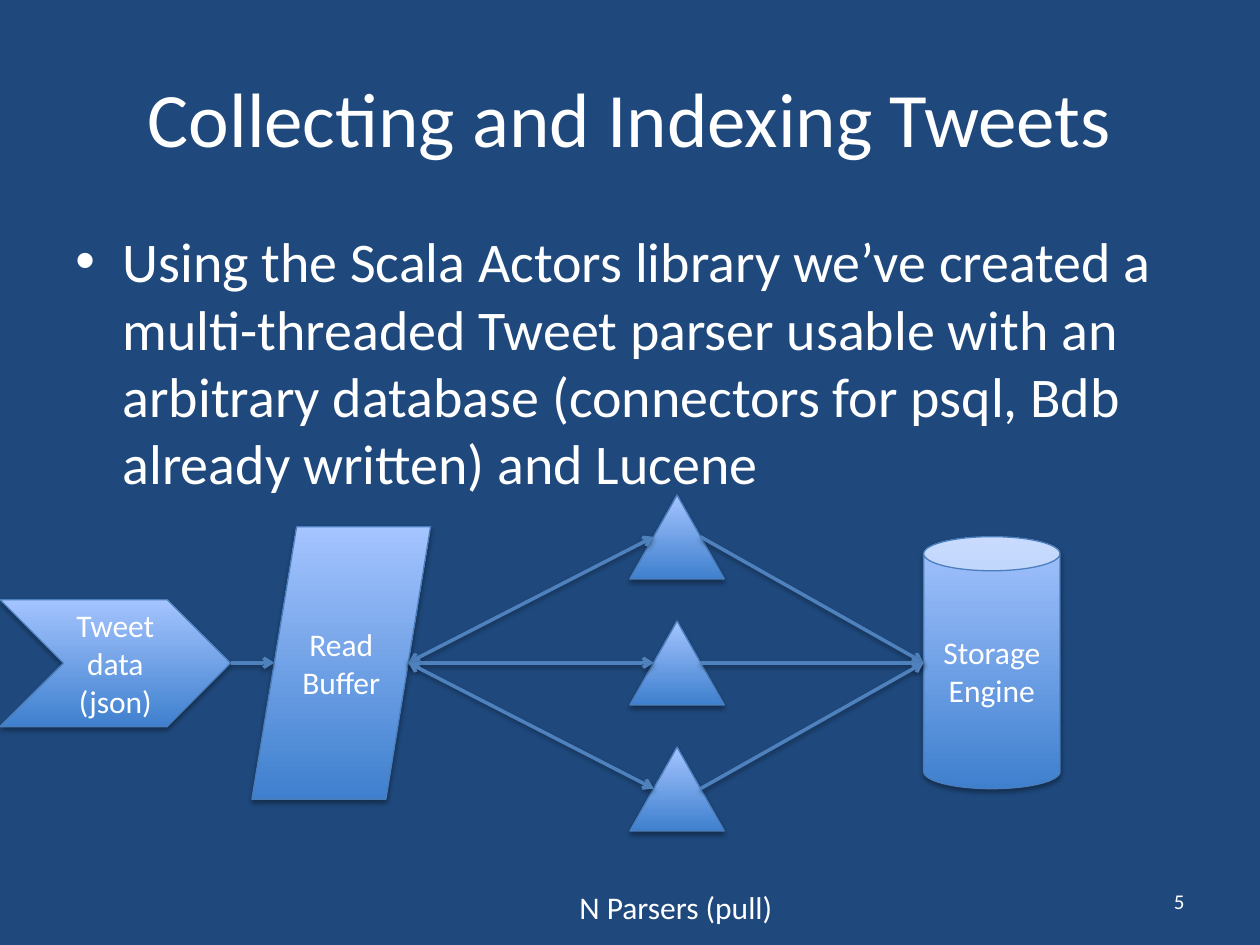
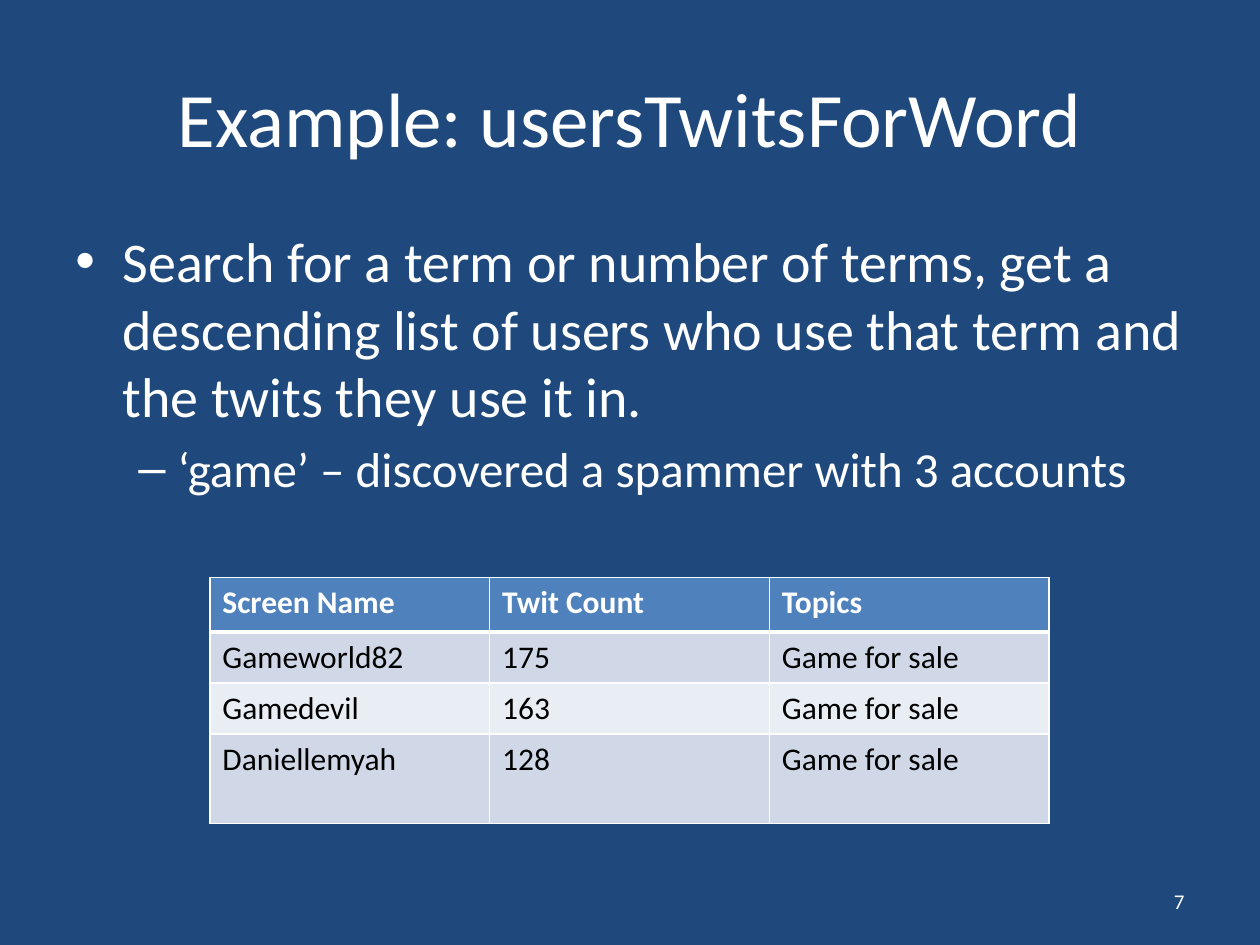
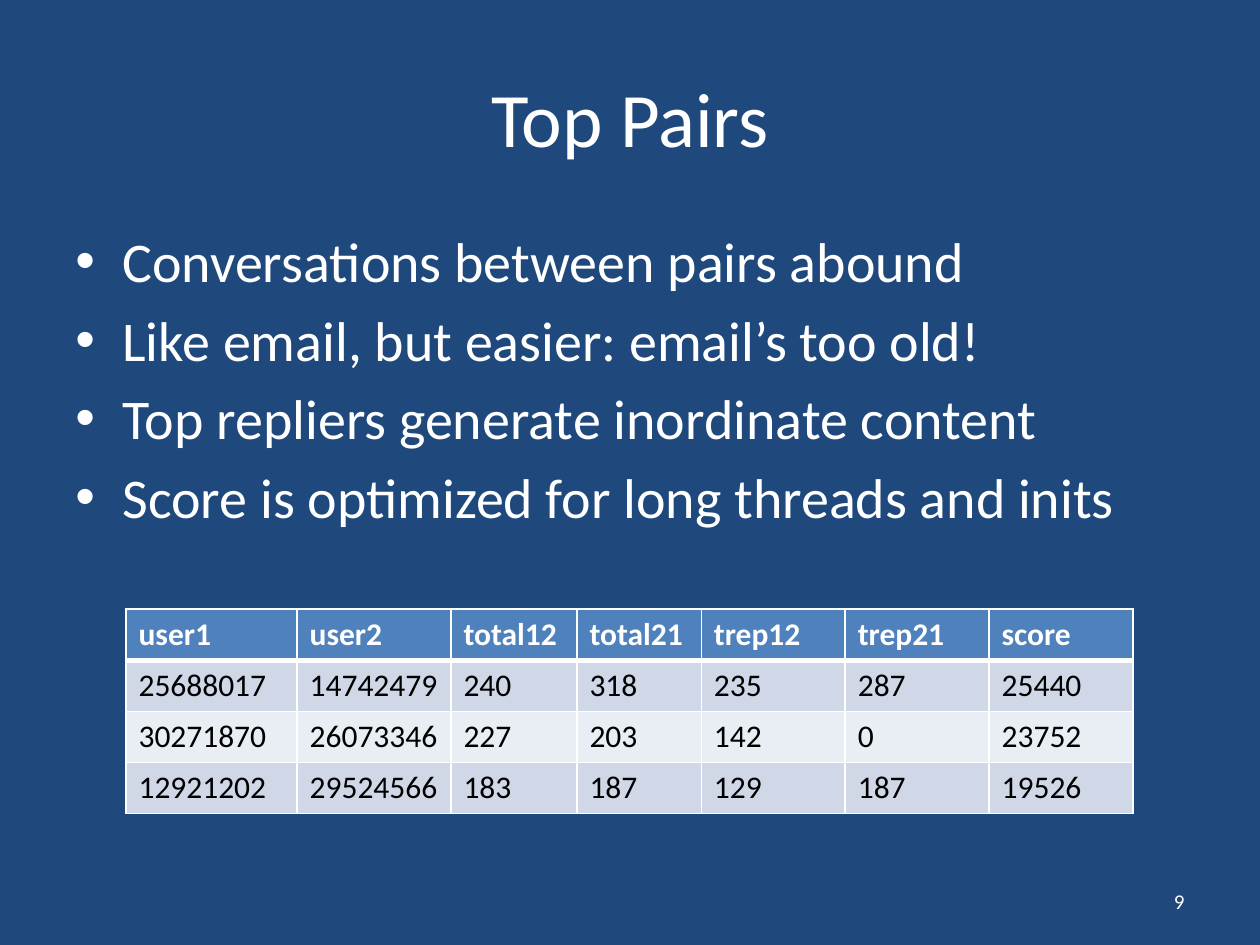
from lxml.etree import SubElement
from pptx import Presentation
from pptx.dml.color import RGBColor
from pptx.enum.shapes import MSO_CONNECTOR, MSO_SHAPE
from pptx.enum.text import MSO_ANCHOR, PP_ALIGN
from pptx.oxml.ns import qn
from pptx.util import Cm, Pt

# Shared look
NAVY = RGBColor(0x1F, 0x49, 0x7D)
WHITE = RGBColor(0xFF, 0xFF, 0xFF)
BLACK = RGBColor(0x00, 0x00, 0x00)
BLUE = RGBColor(0x4F, 0x81, 0xBD)
EDGE = RGBColor(0x4B, 0x7E, 0xBC)
GRADIENT = (RGBColor(0x3F, 0x80, 0xCE), RGBColor(0xA4, 0xC4, 0xFF))
BANDS = (RGBColor(0xE9, 0xED, 0xF4), RGBColor(0xD0, 0xD8, 0xE8))
FONT = "Calibri"
# Per level: bullet, size in points, left margin and hanging indent in cm
LEVELS = (("•", 32, 0.95, 0.95), ("–", 28, 2.06, 0.79))

SLIDES = [
    {
        "title": "Collecting and Indexing Tweets",
        "number": "5",
        "points": [(0, "Using the Scala Actors library we’ve created a multi-threaded Tweet "
                       "parser usable with an arbitrary database (connectors for psql, Bdb "
                       "already written) and Lucene")],
    },
    {
        "title": "Example: usersTwitsForWord",
        "number": "7",
        "points": [(0, "Search for a term or number of terms, get a descending list of users "
                       "who use that term and the twits they use it in."),
                   (1, "‘game’ – discovered a spammer with 3 accounts")],
        "table_at": (4.23, 11.64),
        "columns": [5.64] * 3,
        "heights": [1.1, 1.03, 1.03, 1.8],
        "rows": [("Screen Name", "Twit Count", "Topics"),
                 ("Gameworld82", "175", "Game for sale"),
                 ("Gamedevil", "163", "Game for sale"),
                 ("Daniellemyah", "128", "Game for sale")],
    },
    {
        "title": "Top Pairs",
        "number": "9",
        "points": [(0, "Conversations between pairs abound"),
                   (0, "Like email, but easier: email’s too old!"),
                   (0, "Top repliers generate inordinate content"),
                   (0, "Score is optimized for long threads and inits")],
        "table_at": (2.54, 12.28),
        "columns": [3.45, 3.1, 2.54, 2.51, 2.9, 2.9, 2.9],
        "heights": [1.03] * 4,
        "rows": [("user1", "user2", "total12", "total21", "trep12", "trep21", "score"),
                 ("25688017", "14742479", "240", "318", "235", "287", "25440"),
                 ("30271870", "26073346", "227", "203", "142", "0", "23752"),
                 ("12921202", "29524566", "183", "187", "129", "187", "19526")],
    },
]


def write_text(frame, text, size=18, color=WHITE, bold=False, align=PP_ALIGN.LEFT,
               anchor=MSO_ANCHOR.TOP, wrap=True):
    frame.text = text
    frame.word_wrap = wrap
    frame.vertical_anchor = anchor
    for paragraph in frame.paragraphs:
        paragraph.alignment = align
        for run in paragraph.runs:
            run.font.name = FONT
            run.font.size = Pt(size)
            run.font.bold = bold
            run.font.color.rgb = color


def add_shadow(shape, distance):
    effects = SubElement(shape.element.spPr, qn("a:effectLst"))
    shadow = SubElement(effects, qn("a:outerShdw"), blurRad=str(Pt(3.1)),
                        dist=str(Pt(distance)), dir="5400000", rotWithShape="0")
    color = SubElement(shadow, qn("a:srgbClr"), val="000000")
    SubElement(color, qn("a:alpha"), val="36000")


presentation = Presentation()
presentation.slide_width, presentation.slide_height = Cm(25.4), Cm(19.05)
background = presentation.slide_master.background.fill
background.solid()
background.fore_color.rgb = NAVY

for content in SLIDES:
    slide = presentation.slides.add_slide(presentation.slide_layouts[6])

    # Title and slide number
    title = slide.shapes.add_textbox(Cm(1.27), Cm(0.76), Cm(22.86), Cm(3.18))
    write_text(title.text_frame, content["title"], size=44, align=PP_ALIGN.CENTER,
               anchor=MSO_ANCHOR.MIDDLE)
    number = slide.shapes.add_textbox(Cm(18.2), Cm(17.66), Cm(5.93), Cm(1.01))
    write_text(number.text_frame, content["number"], size=12, align=PP_ALIGN.RIGHT,
               anchor=MSO_ANCHOR.MIDDLE)

    # Bullet points
    body = slide.shapes.add_textbox(Cm(1.27), Cm(4.45), Cm(22.86), Cm(12.57))
    write_text(body.text_frame, "\n".join(text for _, text in content["points"]))
    for paragraph, (level, _) in zip(body.text_frame.paragraphs, content["points"]):
        bullet, size, margin, hanging = LEVELS[level]
        paragraph.level = level
        paragraph.space_before = Pt(size * 0.2)
        paragraph.runs[0].font.size = Pt(size)
        properties = paragraph._p.get_or_add_pPr()
        properties.set("marL", str(Cm(margin)))
        properties.set("indent", str(-Cm(hanging)))
        SubElement(properties, qn("a:buFont"), typeface="Arial")
        SubElement(properties, qn("a:buChar"), char=bullet)

    # Table
    if "rows" not in content:
        continue
    rows, columns, heights = content["rows"], content["columns"], content["heights"]
    left, top = content["table_at"]
    table = slide.shapes.add_table(len(rows), len(columns), Cm(left), Cm(top),
                                   Cm(sum(columns)), Cm(sum(heights))).table
    for column, width in zip(table.columns, columns):
        column.width = Cm(width)
    for r, (values, height) in enumerate(zip(rows, heights)):
        table.rows[r].height = Cm(height)
        header = r == 0
        borders = {"L": 1, "R": 1, "T": 3 if r == 1 else 1, "B": 3 if header else 1}
        for cell, value in zip(table.rows[r].cells, values):
            write_text(cell.text_frame, value, bold=header, color=WHITE if header else BLACK)
            for side, width in borders.items():
                border = SubElement(cell._tc.get_or_add_tcPr(), qn(f"a:ln{side}"),
                                    w=str(Pt(width)))
                border_fill = SubElement(border, qn("a:solidFill"))
                SubElement(border_fill, qn("a:srgbClr"), val=str(WHITE))
            cell.fill.solid()
            cell.fill.fore_color.rgb = BLUE if header else BANDS[r % 2]

# Pipeline diagram on the first slide
pipeline = presentation.slides[0]
AXIS = 13.36
PARSER_LEVELS = [AXIS + step * 2.54 for step in (-1, 0, 1)]

# Nodes: shape, left, top, width, height, text
nodes = [(MSO_SHAPE.ISOSCELES_TRIANGLE, 12.7, level - 0.84, 1.9, 1.69, "")
         for level in PARSER_LEVELS]
nodes += [
    (MSO_SHAPE.CHEVRON, 0, 12.09, 4.65, 2.56, "Tweet\ndata\n(json)"),
    (MSO_SHAPE.CAN, 18.62, 10.82, 2.75, 5.08, "Storage Engine"),
    (MSO_SHAPE.PARALLELOGRAM, 5.08, 10.62, 3.6, 5.49, "Read Buffer"),
]
for kind, left, top, width, height, text in nodes:
    node = pipeline.shapes.add_shape(kind, Cm(left), Cm(top), Cm(width), Cm(height))
    node.fill.gradient()
    node.fill.gradient_angle = 90
    for stop, color in zip(node.fill.gradient_stops, GRADIENT):
        stop.color.rgb = color
    node.line.color.rgb = EDGE
    node.line.width = Pt(0.75)
    add_shadow(node, 1.8)
    if text:
        write_text(node.text_frame, text, align=PP_ALIGN.CENTER, anchor=MSO_ANCHOR.MIDDLE)

# Arrows: start, end, arrowheads
arrows = [((4.65, AXIS), (5.53, AXIS), ["tailEnd"])]
for level in PARSER_LEVELS:
    arrows.append(((13.18, level), (8.23, AXIS), ["headEnd", "tailEnd"]))
    arrows.append(((14.12, level), (18.62, AXIS), ["tailEnd"]))
for start, end, heads in arrows:
    arrow = pipeline.shapes.add_connector(MSO_CONNECTOR.STRAIGHT,
                                          *(Cm(length) for length in start + end))
    arrow.line.color.rgb = BLUE
    arrow.line.width = Pt(2)
    for head in heads:
        SubElement(arrow.element.spPr.find(qn("a:ln")), qn(f"a:{head}"), type="arrow")
    add_shadow(arrow, 1.6)

# Label under the parsers
label = pipeline.shapes.add_textbox(Cm(11.43), Cm(17.78), Cm(4.45), Cm(1.02))
write_text(label.text_frame, "N Parsers (pull)", wrap=False)

presentation.save("out.pptx")
